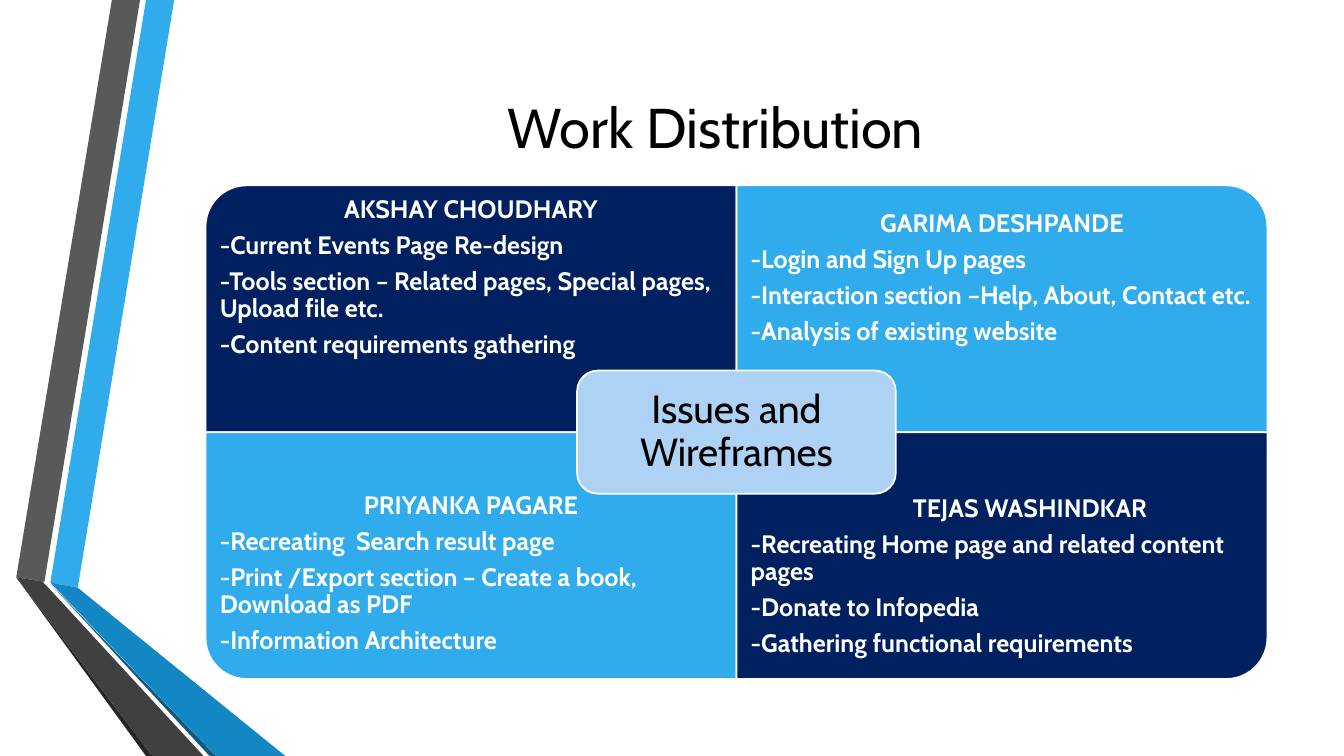
from pptx import Presentation
from pptx.dml.color import RGBColor
from pptx.enum.shapes import MSO_SHAPE as Shape
from pptx.enum.text import MSO_ANCHOR as Anchor, PP_ALIGN as Align
from pptx.util import Cm, Pt

FONT = "Cabin"
WHITE = RGBColor(0xFF, 0xFF, 0xFF)
BLACK = RGBColor(0x00, 0x00, 0x00)
NAVY = RGBColor(0x00, 0x20, 0x60)
SKY = RGBColor(0x30, 0xAC, 0xEC)
PALE = RGBColor(0xAE, 0xD2, 0xF4)
AZURE = RGBColor(0x12, 0x87, 0xC3)
DEEP_BLUE = RGBColor(0x0C, 0x5A, 0x82)
GREY = RGBColor(0x59, 0x59, 0x59)
DARK_GREY = RGBColor(0x40, 0x40, 0x40)
CHARCOAL = RGBColor(0x26, 0x26, 0x26)

PAGE_W, PAGE_H = 33.87, 19.05
GRID_LEFT, GRID_TOP = 5.18, 4.67
CELL_W, CELL_H = 13.38, 6.22
NOTE_H = 4.67
HUB_W, HUB_H = 8.03, 3.1

RIBBONS = [
    (SKY, [(1.27, 14.68), (1.96, 14.81), (4.39, 0), (3.68, 0)]),
    (GREY, [(3.53, 0), (2.82, 0), (0.41, 14.55), (1.12, 14.66)]),
    (CHARCOAL, [(0.41, 14.55), (3.68, PAGE_H), (3.84, PAGE_H)]),
    (DEEP_BLUE, [(1.27, 14.71), (5.28, PAGE_H), (5.44, PAGE_H)]),
    (AZURE, [(1.27, 14.68), (5.44, PAGE_H), (7.19, PAGE_H), (1.96, 14.81)]),
    (DARK_GREY, [(5.13, PAGE_H), (1.22, 14.81), (1.09, 14.68),
                 (1.12, 14.66), (0.41, 14.55), (3.84, PAGE_H)]),
]

# column, row, rotation, fill, extra bottom inset, name indent, name, tasks
MEMBERS = [
    (0, 0, 270, NAVY, 0, 0, "AKSHAY CHOUDHARY", [
        "-Current Events Page Re-design",
        "-Tools section – Related pages, Special pages, Upload file etc.",
        "-Content requirements gathering"]),
    (1, 0, 0, SKY, 0, 0, "GARIMA DESHPANDE", [
        "-Login and Sign Up pages",
        "-Interaction section –Help, About, Contact etc.",
        "-Analysis of existing website"]),
    (0, 1, 180, SKY, 0.63, 0, "PRIYANKA PAGARE", [
        "-Recreating  Search result page",
        "-Print /Export section – Create a book, Download as PDF",
        "-Information Architecture"]),
    (1, 1, 90, NAVY, 0.49, 1.41, "TEJAS WASHINDKAR", [
        "-Recreating Home page and related content pages",
        "-Donate to Infopedia",
        "-Gathering functional requirements"]),
]


class WorkSlide:
    """Holds the shared style and the slide being built."""

    def __init__(self, deck):
        self.slide = deck.slides.add_slide(deck.slide_layouts[5])
        self.shapes = self.slide.shapes

    def frame(self, shape, inset, extra_bottom=0):
        frame = shape.text_frame
        frame.word_wrap = True
        frame.vertical_anchor = Anchor.MIDDLE
        frame.margin_left = frame.margin_right = frame.margin_top = Cm(inset)
        frame.margin_bottom = Cm(inset + extra_bottom)
        return frame

    def style(self, paragraph, size, color, bold=False, align=Align.CENTER):
        paragraph.alignment = align
        paragraph.line_spacing = 0.9
        font = paragraph.font
        font.name, font.size, font.bold = FONT, Pt(size), bold
        font.color.rgb = color

    def title(self, text):
        title = self.shapes.title
        title.left, title.top = Cm(4.11), Cm(1.9)
        title.width, title.height = Cm(27.84), Cm(2.77)
        frame = self.frame(title, 0.25)
        frame.text = text
        self.style(frame.paragraphs[0], 40, BLACK)

    def ribbon(self, color, points):
        corners = [(Cm(x), Cm(y)) for x, y in points]
        builder = self.shapes.build_freeform(*corners[0])
        builder.add_line_segments(corners[1:], close=True)
        ribbon = builder.convert_to_shape()
        ribbon.shadow.inherit = False
        ribbon.fill.solid()
        ribbon.fill.fore_color.rgb = color
        ribbon.line.fill.background()

    def panel(self, kind, center_x, center_y, width, height, color, rotation=0):
        if rotation in (90, 270):
            width, height = height, width
        panel = self.shapes.add_shape(
            kind, Cm(center_x - width / 2), Cm(center_y - height / 2),
            Cm(width), Cm(height))
        panel.rotation = rotation
        panel.shadow.inherit = False
        panel.fill.solid()
        panel.fill.fore_color.rgb = color
        panel.line.color.rgb = WHITE
        panel.line.width = Pt(1.25)
        return panel

    def member(self, column, row, rotation, color, lift, indent, name, tasks):
        left = GRID_LEFT + column * CELL_W
        top = GRID_TOP + row * CELL_H
        self.panel(Shape.ROUND_1_RECTANGLE, left + CELL_W / 2,
                   top + CELL_H / 2, CELL_W, CELL_H, color, rotation)
        note_top = top + row * (CELL_H - NOTE_H)
        note = self.shapes.add_textbox(
            Cm(left), Cm(note_top), Cm(CELL_W), Cm(NOTE_H))
        frame = self.frame(note, 0.36, lift)
        frame.text = "\n".join([name, *tasks])
        heading, *duties = frame.paragraphs
        self.style(heading, 18, WHITE, True)
        if indent:
            heading._p.get_or_add_pPr().set("marL", str(Cm(indent)))
        for duty in duties:
            self.style(duty, 18, WHITE, True, Align.LEFT)
        for paragraph in frame.paragraphs:
            paragraph.space_after = Pt(6.3)

    def hub(self, text):
        hub = self.panel(Shape.ROUNDED_RECTANGLE, GRID_LEFT + CELL_W,
                         GRID_TOP + CELL_H, HUB_W, HUB_H, PALE)
        frame = self.frame(hub, 0.46)
        frame.text = text
        self.style(frame.paragraphs[0], 28, BLACK)


def main():
    deck = Presentation()
    deck.slide_width, deck.slide_height = Cm(PAGE_W), Cm(PAGE_H)
    work = WorkSlide(deck)
    for color, points in RIBBONS:
        work.ribbon(color, points)
    work.title("Work Distribution")
    for member in MEMBERS:
        work.member(*member)
    work.hub("Issues and Wireframes")
    deck.save("out.pptx")


if __name__ == "__main__":
    main()
